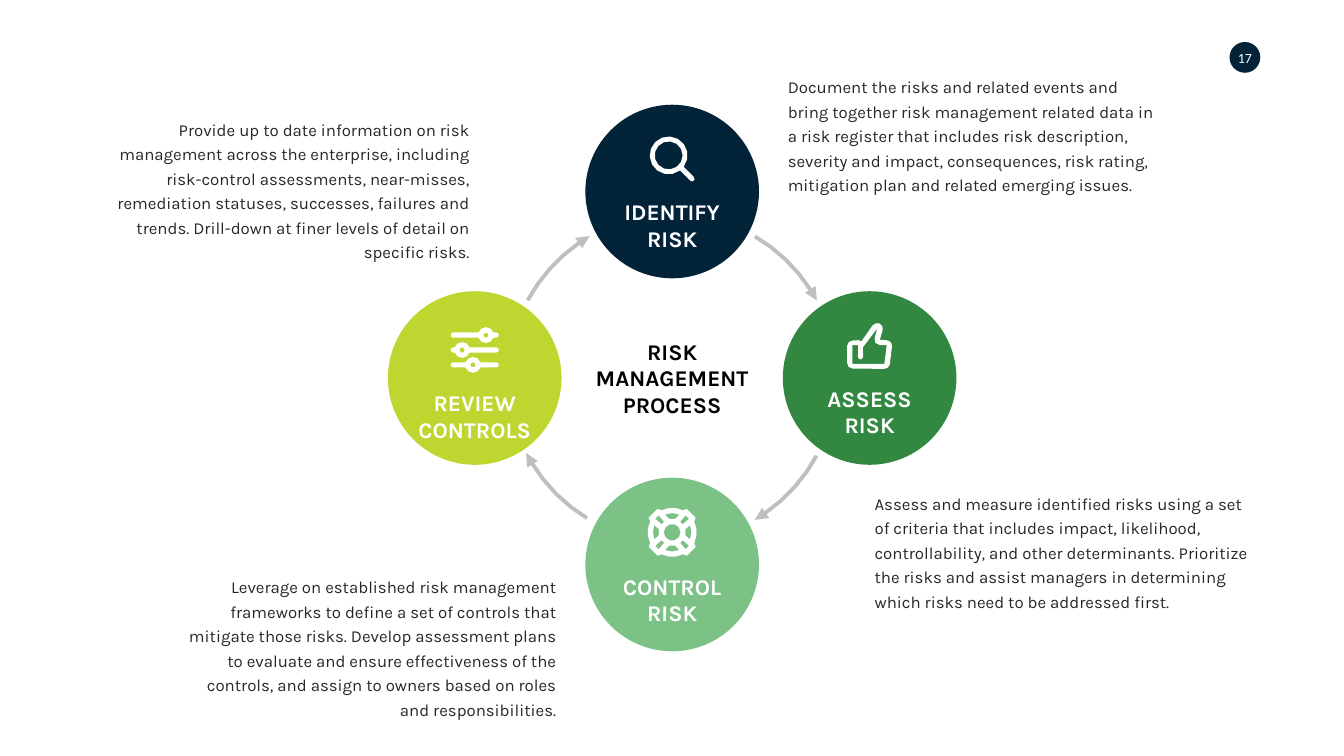
from math import ceil, cos, radians, sin, sqrt
from pptx import Presentation
from pptx.dml.color import RGBColor as RGB
from pptx.enum.shapes import MSO_SHAPE as Form
from pptx.enum.text import MSO_ANCHOR as Anchor, MSO_AUTO_SIZE as Auto, PP_ALIGN as Align
from pptx.util import Pt


def paint(fill, color):
    fill.solid()
    fill.fore_color.rgb = RGB.from_string(color)


def write(text, left, top, width, height, size=24, font="Karla", color="272727", bold=False,
          align=Align.LEFT, anchor=Anchor.TOP, wrap=True, inset=None, lead=None):
    """Add a text box with one paragraph per line; lead is the line pitch in points."""
    box = shapes.add_textbox(Pt(left), Pt(top), Pt(width), Pt(height))
    frame = box.text_frame
    frame.word_wrap = wrap
    frame.auto_size = Auto.SHAPE_TO_FIT_TEXT
    frame.vertical_anchor = anchor
    if inset is not None:
        frame.margin_left = frame.margin_right = Pt(inset)
        frame.margin_top = frame.margin_bottom = Pt(inset)
    frame.text = text
    for para in frame.paragraphs:
        para.alignment = align
        if lead:
            para.line_spacing = Pt(lead)
        for run in para.runs:
            run.font.name, run.font.size, run.font.bold = font, Pt(size), bold
            paint(run.font.fill, color)


deck = Presentation()
deck.slide_width, deck.slide_height = Pt(1919.52), Pt(1080)
shapes = deck.slides.add_slide(deck.slide_layouts[6]).shapes

MID_X, MID_Y = 960, 540
STEP_X, STEP_Y = 282, 266.4
SIZE = 248
north, south = (MID_X, MID_Y - STEP_Y), (MID_X, MID_Y + STEP_Y)
east, west = (MID_X + STEP_X, MID_Y), (MID_X - STEP_X, MID_Y)

# Discs: centre x, centre y, diameter, colour
discs = [
    (1778, 82, 44, "022338"),
    (*north, SIZE, "022338"),
    (*south, SIZE, "7CC287"),
    (*east, SIZE, "328840"),
    (*west, SIZE, "BED62F"),
]
for x, y, size, color in discs:
    disc = shapes.add_shape(Form.OVAL, Pt(x - size / 2), Pt(y - size / 2), Pt(size), Pt(size))
    disc.shadow.inherit = False
    paint(disc.fill, color)
    disc.line.fill.background()

write("17", 1763, 70, 30, 24, size=20, font="Calibri", color="FFFFFF",
      align=Align.CENTER, anchor=Anchor.MIDDLE, wrap=False, inset=0)

# Outlines are lists of contours. A contour mixes points (x, y) and
# arcs (x, y, radius, start, end), measured from the centre of its figure.
figures = []
for turn in (0, 88, 181, 268):
    tail, neck, tip = turn - 59.7, turn - 32.7, turn - 28.2
    arrow = [(0, 0, 237, tail, neck), (0, 0, 243.5, neck, neck), (0, 0, 234.5, tip, tip),
             (0, 0, 225.5, neck, neck), (0, 0, 231.5, neck, tail)]
    figures.append(((MID_X, MID_Y), "BFBFBF", [arrow]))

lens = [
    [(-5, -51.6, 27, 53, 397), (28.5, -18, 3.6, -45, 135)],
    [(-5, -51.6, 20, 0, 360)],
]

thumb = [
    [(24, -46, 8, 270, 370), (21, -21, 8, 10, 90), (-24.5, -21, 7.5, 90, 180),
     (-24.5, -46, 7.5, 180, 270), (-16.5, -54), (-11.5, -52.5), (4.5, -75.5),
     (11, -70.5, 8, 215, 375), (14.5, -54.5)],
    [(21, -20), (-24.5, -20), (-24.5, -47), (-16.5, -47), (-13, -30, 3.6, 180, 0),
     (-9.5, -44), (11, -71), (7, -56), (8.5, -50), (14.5, -47), (24.5, -47)],
]

HUB = -46
rim, holes = [], [[(0, HUB, 12, 0, 360)]]
for turn in range(0, 360, 90):
    rim.append((0, HUB, 35, turn - 26, turn + 26))
    for far, angle in ((39.5, 32), (39.5, 58)):
        rim.append((0, HUB, far, turn + angle, turn + angle))
    holes.append([(0, HUB, 27.5, turn - 22, turn + 22), (0, HUB, 19.5, turn + 13, turn - 13)])
    holes.append([(0, HUB, 31, turn + 38.5, turn + 51.5), (0, HUB, 19, turn + 53, turn + 37)])
buoy = [rim, *holes]

sliders = []
for x, y in ((16, -61.3), (-18, -40), (-2.5, -18.7)):
    sliders.append([(-31, y, 3.7, 90, 270), (x, y, 11.3, 199, 341),
                    (31, y, 3.7, -90, 90), (x, y, 11.3, 19, 161)])
    sliders.append([(x, y, 3.8, 0, 360)])

for centre, icon in ((north, lens), (south, buoy), (east, thumb), (west, sliders)):
    figures.append((centre, "FFFFFF", icon))

for (left, top), color, contours in figures:
    pen = None
    for contour in contours:
        dots = []
        for x, y, *arc in contour:
            if not arc:
                dots.append((Pt(left + x), Pt(top + y)))
                continue
            reach, start, end = arc
            # Wide arcs need more chords to look smooth
            count = ceil(abs(end - start) * sqrt(reach) / 130)
            for i in range(count + 1):
                angle = radians(start + (end - start) * i / max(count, 1))
                dots.append((Pt(left + x + reach * cos(angle)), Pt(top + y + reach * sin(angle))))
        if pen is None:
            pen = shapes.build_freeform(*dots[0])
        else:
            pen.move_to(*dots[0])
        pen.add_line_segments(dots[1:], close=True)
    figure = pen.convert_to_shape()
    figure.shadow.inherit = False
    paint(figure.fill, color)
    figure.line.fill.background()

# Titles: text, centre x, top, width
titles = [
    ("IDENTIFY\nRISK", north[0], 279.5, 158),
    ("CONTROL\nRISK", south[0], 814.5, 170),
    ("ASSESS\nRISK", east[0], 546, 135),
    ("REVIEW\nCONTROLS", west[0], 553, 190),
]
for text, x, top, width in titles:
    write(text, x - width / 2, top, width, 85, size=32, color="FFFFFF", bold=True,
          align=Align.CENTER, wrap=False)

write("RISK\nMANAGEMENT\nPROCESS", MID_X - 124.5, MID_Y - 64, 249, 128, size=32, color="000000",
      bold=True, align=Align.CENTER, anchor=Anchor.MIDDLE, wrap=False)

# Notes: text, left, top, width, alignment, anchor
notes = [
    ("Document the risks and related events and bring together risk management related data in "
     "a risk register that includes risk description, severity and impact, consequences, risk "
     "rating, mitigation plan and related emerging issues.",
     1118, 102, 538, Align.LEFT, Anchor.BOTTOM),
    ("Assess and measure identified risks using a set of criteria that includes impact, "
     "likelihood, controllability, and other determinants. Prioritize the risks and assist "
     "managers in determining which risks need to be addressed first.",
     1242, 695.5, 558, Align.LEFT, Anchor.TOP),
    ("Leverage on established risk management frameworks to define a set of controls that "
     "mitigate those risks. Develop assessment plans to evaluate and ensure effectiveness of "
     "the controls, and assign to owners based on roles and responsibilities.",
     243.5, 814.5, 558, Align.RIGHT, Anchor.TOP),
    ("Provide up to date information on risk management across the enterprise, including "
     "risk-control assessments, near-misses, remediation statuses, successes, failures and "
     "trends. Drill-down at finer levels of detail on specific risks.",
     119.5, 198, 558, Align.RIGHT, Anchor.BOTTOM),
]
for text, left, top, width, align, anchor in notes:
    write(text, left, top, width, 180, align=align, anchor=anchor, lead=35)

deck.save("out.pptx")
